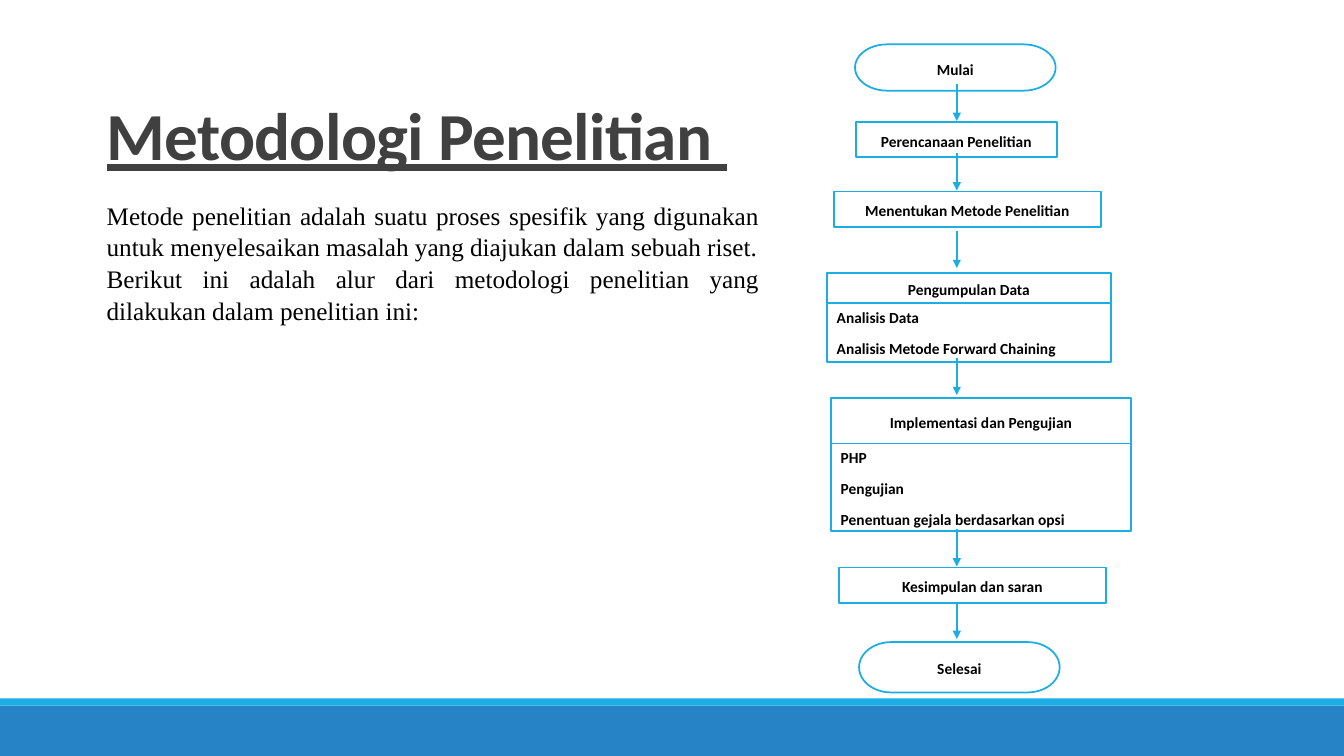
import pptx
import pptx.util
import pptx.dml.color
import pptx.enum.shapes
import pptx.enum.text
import pptx.oxml
import pptx.oxml.ns
from lxml import etree

Inches, Pt = pptx.util.Inches, pptx.util.Pt
RGBColor = pptx.dml.color.RGBColor
SHAPE = pptx.enum.shapes.MSO_SHAPE
ALIGN = pptx.enum.text.PP_ALIGN
ANCHOR = pptx.enum.text.MSO_ANCHOR
qn = pptx.oxml.ns.qn

WHITE = RGBColor(0xFF, 0xFF, 0xFF)
BLACK = RGBColor(0x00, 0x00, 0x00)
GREY = RGBColor(0x40, 0x40, 0x40)
BLUE = RGBColor(0x26, 0x83, 0xC6)
CYAN = RGBColor(0x1C, 0xAD, 0xE4)


def write(tf, text, size=11, font="Calibri", color=BLACK, bold=False,
          underline=False, align=ALIGN.LEFT, anchor=ANCHOR.TOP,
          line=1.0, after=0, hanging=0, tracking=0):
    """Fill a text frame, one paragraph per line of text."""
    tf.word_wrap = True
    tf.vertical_anchor = anchor
    for i, content in enumerate(text.split("\n")):
        p = tf.add_paragraph() if i else tf.paragraphs[0]
        p.alignment = align
        p.line_spacing = line
        p.space_after = Pt(after)
        if hanging:
            pPr = p._p.get_or_add_pPr()
            pPr.set("marL", str(Inches(hanging)))
            pPr.set("indent", str(-Inches(hanging)))
        r = p.add_run()
        r.text = content
        r.font.size, r.font.name = Pt(size), font
        r.font.bold, r.font.underline = bold, underline
        r.font.color.rgb = color
        if tracking:
            r._r.get_or_add_rPr().set("spc", str(round(tracking * 100)))


class SlideBuilder:
    """Holds the flowchart style and the slide being drawn."""

    outline = 1.25
    arrow_width = 1
    step_text = dict(bold=True, align=ALIGN.CENTER, anchor=ANCHOR.MIDDLE,
                     line=1.15, after=10)
    list_text = dict(bold=True, align=ALIGN.JUSTIFY, anchor=ANCHOR.MIDDLE,
                     line=1.07, after=8, hanging=0.25)

    def __init__(self, s):
        """Keep the slide to draw on."""
        self.s = s

    def shape(self, x, y, w, h, fill=WHITE, line=None, kind=SHAPE.RECTANGLE):
        """Add a flat preset shape."""
        sp = self.s.shapes.add_shape(kind, Inches(x), Inches(y), Inches(w), Inches(h))
        sp.shadow.inherit = False
        sp.fill.solid()
        sp.fill.fore_color.rgb = fill
        if line is None:
            sp.line.fill.background()
        else:
            sp.line.color.rgb = line
            sp.line.width = Pt(self.outline)
        return sp

    def step(self, text, x, y, w, h, kind=SHAPE.RECTANGLE):
        """Add a flowchart step with a centred label."""
        write(self.shape(x, y, w, h, line=CYAN, kind=kind).text_frame,
              text, **self.step_text)

    def details(self, text, x, y, w, h):
        """Add a box that lists the parts of a step."""
        write(self.shape(x, y, w, h, line=CYAN).text_frame, text, **self.list_text)

    def arrow(self, x, y, length):
        """Add a downward arrow."""
        c = self.s.shapes.add_connector(
            pptx.enum.shapes.MSO_CONNECTOR.STRAIGHT,
            Inches(x), Inches(y), Inches(x), Inches(y + length))
        c.line.color.rgb = CYAN
        c.line.width = Pt(self.arrow_width)
        etree.SubElement(c.line._get_or_add_ln(), qn("a:tailEnd"), type="triangle")
        etree.SubElement(c._element.spPr, qn("a:effectLst"))

    def text(self, text, x, y, w, h, **style):
        """Add a text box."""
        sp = self.s.shapes.add_textbox(Inches(x), Inches(y), Inches(w), Inches(h))
        write(sp.text_frame, text, **style)


prs = pptx.Presentation()
prs.slide_width, prs.slide_height = Inches(13.33), Inches(7.5)
slide = SlideBuilder(prs.slides.add_slide(prs.slide_layouts[6]))

slide.shape(0, 7, 13.33, 0.5, fill=BLUE)
slide.shape(0, 6.93, 13.33, 0.07, fill=CYAN)

slide.step("Mulai", 8.48, 0.44, 1.99, 0.46, SHAPE.FLOWCHART_TERMINATOR)
slide.step("Perencanaan Penelitian", 8.49, 1.21, 1.99, 0.35)
slide.step("Menentukan Metode Penelitian", 8.27, 1.9, 2.65, 0.35)
slide.step("Pengumpulan Data", 8.2, 2.71, 2.82, 0.3)
slide.details("Analisis Data\nAnalisis Metode Forward Chaining", 8.2, 3.01, 2.82, 0.58)
slide.step("Implementasi dan Pengujian", 8.24, 3.95, 2.98, 0.45)
slide.details("PHP\nPengujian\nPenentuan gejala berdasarkan opsi", 8.24, 4.4, 2.98, 0.87)
slide.step("Kesimpulan dan saran", 8.32, 5.63, 2.65, 0.35)
slide.step("Selesai", 8.52, 6.37, 1.99, 0.5, SHAPE.FLOWCHART_TERMINATOR)
for top in (0.83, 1.52, 2.29, 3.55, 5.25, 5.97):
    slide.arrow(9.49, top, 0.37)

slide.text("Metodologi Penelitian ", 0.96, 0.19, 11, 1.59, size=48, color=GREY,
           bold=True, underline=True, anchor=ANCHOR.BOTTOM, line=0.85, tracking=-0.5)
slide.text("Metode penelitian adalah suatu proses spesifik yang digunakan untuk "
           "menyelesaikan masalah yang diajukan dalam sebuah riset.\n"
           "Berikut ini adalah alur dari metodologi penelitian yang dilakukan "
           "dalam penelitian ini:",
           0.96, 1.92, 6.67, 1.31, size=18, font="Times New Roman",
           align=ALIGN.JUSTIFY, line=1.05)

prs.save("out.pptx")
